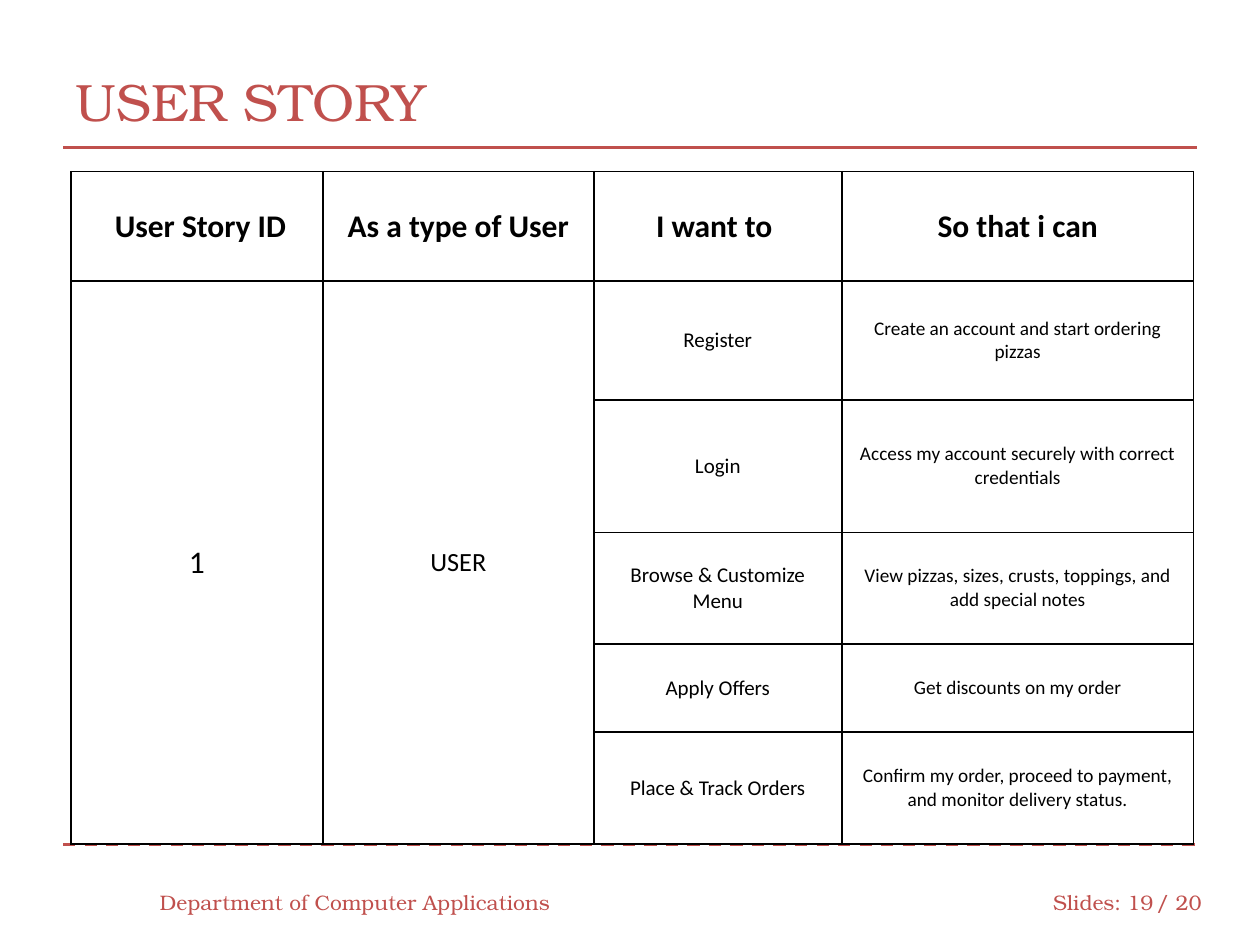
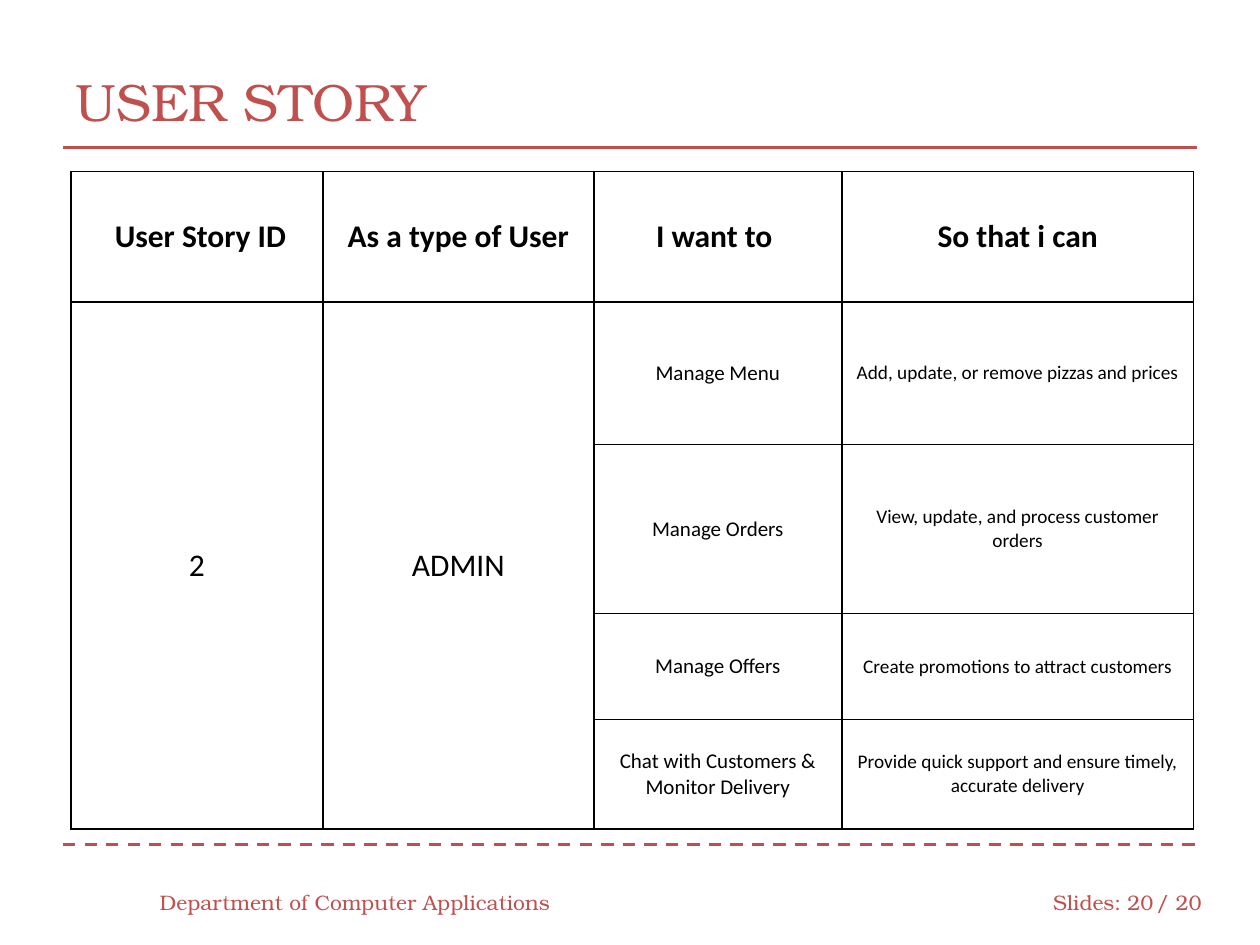
from dataclasses import dataclass

from lxml import etree
from pptx import Presentation
from pptx.dml.color import RGBColor
from pptx.enum.dml import MSO_LINE
from pptx.enum.shapes import MSO_CONNECTOR
from pptx.enum.text import MSO_ANCHOR, MSO_AUTO_SIZE, PP_ALIGN
from pptx.oxml.ns import qn
from pptx.util import Cm, Pt

LEFT, CENTER, RIGHT = PP_ALIGN.LEFT, PP_ALIGN.CENTER, PP_ALIGN.RIGHT
MIDDLE = MSO_ANCHOR.MIDDLE
NO_AUTOFIT = MSO_AUTO_SIZE.NONE
STRAIGHT = MSO_CONNECTOR.STRAIGHT
DASH = MSO_LINE.DASH


@dataclass(frozen=True)
class Theme:
    accent: str = "C0504D"
    ink: str = "000000"
    paper: str = "FFFFFF"
    heading_font: str = "TeX Gyre Bonum"
    table_font: str = "Calibri"
    title_size: float = 30
    footer_size: float = 12
    header_size: float = 18
    wish_size: float = 12
    benefit_size: float = 11
    rule_width: float = 1.75
    border_width: float = 1


THEME = Theme()
TITLE_ONLY = 5
RULE_LEFT, RULE_RIGHT = 1.27, 24.13
TITLE_RULE_TOP, FOOTER_RULE_TOP = 2.97, 17.02
FOOTER_TOP, FOOTER_HEIGHT = 17.68, 1.02
TABLE_LEFT, TABLE_TOP = 1.43, 3.46
CELL_MARGIN = 0.25
COLUMN_WIDTHS = [5.08, 5.46, 5, 7.09]
HEADERS = [" User Story ID", "As a type of User", "I want to ", "So that i can"]
SLIDE_TOTAL = 20

STORIES = [
    {
        "page": 19, "id": "1", "role": "USER", "role_size": 15,
        "heights": [2.2, 2.4, 2.67, 2.25, 1.78, 2.25],
        "goals": [
            ("Register", "Create an account and start ordering pizzas"),
            ("Login", "Access my account securely with correct credentials"),
            ("Browse & Customize Menu",
             "View pizzas, sizes, crusts, toppings, and add special notes"),
            ("Apply Offers", "Get discounts on my order"),
            ("Place & Track Orders",
             "Confirm my order, proceed to payment, and monitor delivery status."),
        ],
    },
    {
        "page": 20, "id": "2", "role": "ADMIN", "role_size": 18,
        "heights": [2.63, 2.87, 3.41, 2.13, 2.21],
        "goals": [
            ("Manage Menu", "Add, update, or remove pizzas and prices"),
            ("Manage Orders", "View, update, and process customer orders"),
            ("Manage Offers", "Create promotions to attract customers"),
            ("Chat with Customers & Monitor Delivery",
             "Provide quick support and ensure timely, accurate delivery"),
        ],
    },
]


def write_text(frame, text, *, size, font=THEME.heading_font, color=THEME.accent,
               bold=False, align=LEFT):
    frame.word_wrap = True
    frame.vertical_anchor = MIDDLE
    para = frame.paragraphs[0]
    para.alignment = align
    span = para.add_run()
    span.text = text
    span.font.name = font
    span.font.size = Pt(size)
    span.font.bold = bold
    span.font.color.rgb = RGBColor.from_string(color)


def set_title(page, text):
    title = page.shapes.title
    title.left, title.top, title.width, title.height = Cm(1.27), Cm(0.85), Cm(22.86), Cm(2.34)
    write_text(title.text_frame, text, size=THEME.title_size)
    title.text_frame.auto_size = NO_AUTOFIT


def add_rule(page, top, dash=None):
    rule = page.shapes.add_connector(STRAIGHT, Cm(RULE_LEFT), Cm(top), Cm(RULE_RIGHT), Cm(top))
    rule.line.color.rgb = RGBColor.from_string(THEME.accent)
    rule.line.width = Pt(THEME.rule_width)
    if dash:
        rule.line.dash_style = dash
    etree.SubElement(rule._element.spPr, qn("a:effectLst"))


def add_footer_text(page, text, left, width, align=LEFT):
    box = page.shapes.add_textbox(Cm(left), Cm(FOOTER_TOP), Cm(width), Cm(FOOTER_HEIGHT))
    write_text(box.text_frame, text, size=THEME.footer_size, align=align)


def add_frame(page, number):
    add_rule(page, FOOTER_RULE_TOP, dash=DASH)
    add_rule(page, TITLE_RULE_TOP)
    add_footer_text(page, "Department of Computer Applications", 2.97, 8.46)
    add_footer_text(page, "Slides:", 20.98, 1.9)
    add_footer_text(page, str(number), 22.43, 1.07, align=RIGHT)
    add_footer_text(page, f"/ {SLIDE_TOTAL}", 23.06, 1.47)


def style_cell(cell):
    properties = cell._tc.get_or_add_tcPr()
    for side in ("a:lnL", "a:lnR", "a:lnT", "a:lnB"):
        border = etree.SubElement(properties, qn(side), w=str(Pt(THEME.border_width)))
        fill = etree.SubElement(border, qn("a:solidFill"))
        etree.SubElement(fill, qn("a:srgbClr"), val=THEME.ink)
    cell.fill.solid()
    cell.fill.fore_color.rgb = RGBColor.from_string(THEME.paper)
    cell.margin_left = cell.margin_right = Cm(CELL_MARGIN)
    cell.margin_top = cell.margin_bottom = Cm(CELL_MARGIN)
    cell.vertical_anchor = MIDDLE


def write_cell(cell, text, size, bold=False):
    write_text(cell.text_frame, text, size=size, font=THEME.table_font,
               color=THEME.ink, bold=bold, align=CENTER)
    cell.vertical_anchor = MIDDLE


def add_story_table(page, story):
    heights = story["heights"]
    table = page.shapes.add_table(
        len(heights), len(COLUMN_WIDTHS), Cm(TABLE_LEFT), Cm(TABLE_TOP),
        Cm(sum(COLUMN_WIDTHS)), Cm(sum(heights))).table
    table.first_row = table.horz_banding = False
    for column, width in zip(table.columns, COLUMN_WIDTHS):
        column.width = Cm(width)
    for row, height in zip(table.rows, heights):
        row.height = Cm(height)
    for cell in table.iter_cells():
        style_cell(cell)

    for index, header in enumerate(HEADERS):
        write_cell(table.cell(0, index), header, THEME.header_size, bold=True)
    merged = [(story["id"], THEME.header_size), (story["role"], story["role_size"])]
    for index, (text, size) in enumerate(merged):
        cell = table.cell(1, index)
        cell.merge(table.cell(len(heights) - 1, index))
        write_cell(cell, text, size)
    for index, (wish, benefit) in enumerate(story["goals"], start=1):
        write_cell(table.cell(index, 2), wish, THEME.wish_size)
        write_cell(table.cell(index, 3), benefit, THEME.benefit_size)


def main():
    deck = Presentation()
    deck.slide_width, deck.slide_height = Cm(25.4), Cm(19.05)
    for story in STORIES:
        page = deck.slides.add_slide(deck.slide_layouts[TITLE_ONLY])
        add_frame(page, story["page"])
        set_title(page, "USER STORY")
        add_story_table(page, story)
    deck.save("out.pptx")


if __name__ == "__main__":
    main()
